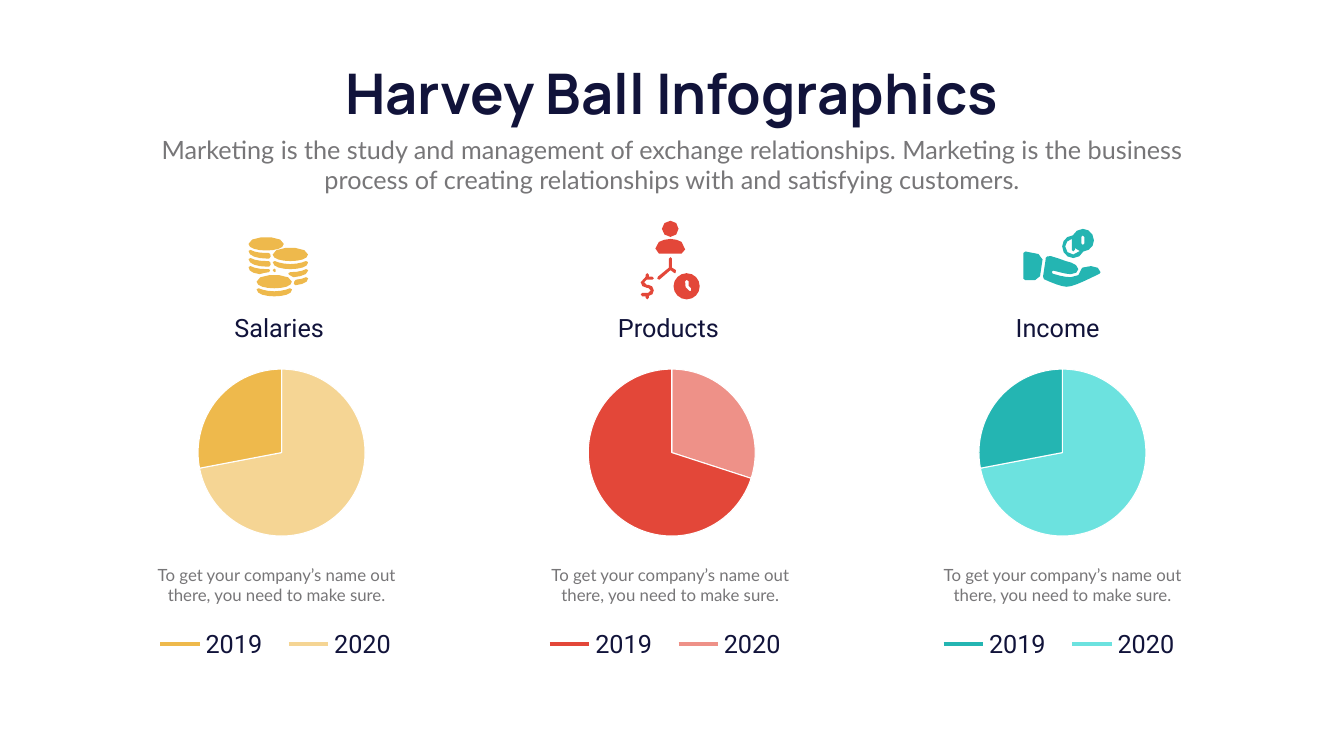
from dataclasses import dataclass
from math import dist

from lxml.etree import SubElement
from pptx import Presentation
from pptx.chart.data import CategoryChartData
from pptx.dml.color import RGBColor
from pptx.enum.chart import XL_CHART_TYPE
from pptx.enum.shapes import MSO_CONNECTOR
from pptx.enum.text import MSO_AUTO_SIZE, PP_ALIGN
from pptx.oxml import parse_xml
from pptx.oxml.ns import nsdecls, qn
from pptx.util import Emu, Pt

PX = 9144  # 100 px to the inch
STEP_LENGTH, MAX_STEPS, MIN_GAP = 12, 5, 3  # how curves are cut into lines


@dataclass(frozen=True)
class Theme:
    ink: str = "11133A"
    grey: str = "777678"
    white: str = "FFFFFF"
    title_font: str = "Manrope"
    body_font: str = "Lato"
    label_font: str = "Roboto"
    chart_font: str = "Calibri"
    title: int = 80
    label: int = 36
    body: int = 24
    chart: int = 10
    legend_line: int = 6
    slice_line: float = 1.5


T = Theme()
TITLE = "Harvey Ball Infographics"
SUBTITLE = ("Marketing is the study and management of exchange relationships. "
            "Marketing is the business process of creating relationships with "
            "and satisfying customers.")
BODY = "To get your company’s name out there, you need to make sure."

# Icon outlines: M move, L line, C curve, Z close, in px from the part's corner
COIN_TOP = "M 0 14 C 0 23 18 27 35 27 C 53 27 70 23 70 14 C 70 -4 0 -4 0 14 Z"
COIN_RIM = ("M 70 3 L 66 1 C 59 4 48 7 35 7 C 22 7 11 4 4 1 L 0 3 "
            "C 0 13 18 17 35 17 C 53 17 70 13 70 4 Z")
LEFT_RIM = ("M 35 17 L 41 17 L 44 13 L 43 8 L 40 6 L 35 6 C 22 6 11 4 4 0 L 0 2 "
            "C 0 12 18 17 35 17 Z")
LEFT_BASE = ("M 22 16 C 28 14 34 13 41 12 L 43 8 L 40 6 L 35 6 C 22 6 11 4 4 0 L 0 2 "
             "C 0 10 8 14 22 16 Z")
RIGHT_RIM = ("M 39 3 L 35 1 C 28 5 17 7 4 7 L 0 9 L 1 12 L 10 17 "
             "C 24 16 39 12 39 4 Z")
RIGHT_BASE = "M 28 2 L 24 0 C 19 3 12 4 4 5 L 1 8 L 0 13 L 3 16 C 19 14 28 10 28 3 Z"
RIM_END = "M 3 7 L 6 6 L 6 2 L 3 0 L 0 3 Z"
HEAD = ("M 33 16 C 33 25 26 32 17 32 C 8 32 0 25 0 16 C 0 7 8 0 17 0 "
        "C 26 0 33 7 33 16 Z")
SHOULDERS = ("M 52 30 C 56 30 59 27 59 22 L 59 20 C 59 15 56 10 52 7 C 47 4 39 1 30 1 "
             "C 21 1 13 4 7 7 C 3 10 0 15 0 20 L 0 22 C 0 27 4 30 7 30 Z")
FORK = ("M 37 33 L 39 31 L 38 27 L 30 22 L 30 4 L 27 1 L 24 4 L 24 22 L 2 40 "
        "L 1 44 L 5 46 L 27 27 L 35 33 Z")
DOLLAR = ("M 12 13 L 23 13 L 26 10 L 23 7 L 16 7 L 16 3 L 13 0 L 10 3 L 10 7 "
          "C 4 8 0 12 0 18 C 0 24 5 29 12 29 L 15 29 C 18 29 20 32 20 34 "
          "C 20 37 18 39 15 39 L 3 39 L 0 42 L 3 46 L 10 46 L 10 49 L 13 52 L 16 49 "
          "L 16 45 C 22 45 26 40 26 34 C 26 28 21 23 15 23 L 12 23 C 9 23 7 21 7 18 "
          "C 7 15 9 13 12 13 Z")
CLOCK = ("M 26 0 C 12 0 0 12 0 26 C 0 40 12 52 26 52 C 41 52 52 40 52 26 "
         "C 52 12 41 0 26 0 Z M 35 35 L 31 35 L 24 28 L 23 26 L 23 16 L 26 13 L 30 16 "
         "L 30 25 L 35 30 Z")
COIN_PAIR = ("M 22 58 C 31 58 38 53 42 45 C 54 44 63 35 63 23 C 63 10 53 0 41 0 "
             "C 32 0 25 6 21 13 C 9 14 0 23 0 35 C 0 48 10 58 22 58 Z "
             "M 38 16 L 41 13 L 44 16 L 44 29 L 41 32 L 38 29 Z "
             "M 19 20 L 19 42 L 22 45 L 25 42 L 25 38 C 28 41 31 43 35 44 "
             "C 32 48 27 51 22 51 C 13 51 6 44 6 35 C 6 28 12 21 19 20 Z")
CUFF = ("M 30 5 L 4 0 L 0 3 L 0 54 L 4 57 L 23 57 C 28 57 32 54 33 49 L 38 16 "
        "C 38 11 35 6 30 5 Z")
HAND = ("M 95 20 C 91 20 84 21 78 23 L 76 26 C 76 31 74 35 70 38 "
        "C 66 41 61 42 55 42 C 46 42 35 40 19 35 L 17 31 L 21 29 "
        "C 36 33 47 36 55 36 C 62 36 65 34 66 33 C 68 31 70 29 70 26 L 69 24 "
        "C 68 16 57 13 45 10 C 39 9 35 7 31 5 C 26 3 22 0 15 0 L 8 1 L 5 4 L 5 8 "
        "L 0 41 L 2 46 C 17 53 37 61 47 61 C 60 61 85 48 102 40 L 112 35 L 114 32 "
        "C 114 25 106 20 95 20 Z")

COINS = [(541, 491, COIN_TOP), (541, 517, COIN_RIM), (509, 545, COIN_TOP),
         (509, 571, COIN_RIM), (493, 470, COIN_TOP), (493, 496, LEFT_RIM),
         (493, 512, LEFT_RIM), (583, 550, RIGHT_BASE), (541, 533, RIM_END),
         (572, 533, RIGHT_RIM), (493, 528, LEFT_BASE)]
PERSON = [(1313, 438, HEAD), (1300, 473, SHOULDERS), (1303, 509, FORK),
          (1271, 542, DOLLAR), (1336, 542, CLOCK)]
INCOME_HAND = [(2107, 454, COIN_PAIR), (2030, 499, CUFF), (2069, 508, HAND)]

# label, (2019, 2020) colours, (2020, 2019) shares, icon, x of label, pie, body, legend
COLUMNS = [
    ("Salaries", ("EEB94C", "F5D594"), (72, 28), COINS, (391, 289, 269, 318)),
    ("Products", ("E34739", "EE9188"), (30, 70), PERSON, (1163, 1063, 1050, 1091)),
    ("Income", ("24B5B2", "6CE2DF"), (72, 28), INCOME_HAND, (1935, 1838, 1828, 1872)),
]
YEARS = ("2019", "2020")
LEGEND_STEP, LEGEND_LENGTH = 255, 78


def px(*values):
    return [Emu(round(v * PX)) for v in values]


def rgb(value):
    return RGBColor.from_string(value)


def add_text(slide, box, text, *, size, font, color=T.ink, bold=False,
             align=PP_ALIGN.CENTER, wrap=True):
    tf = slide.shapes.add_textbox(*px(*box)).text_frame
    tf.word_wrap = wrap
    tf.auto_size = MSO_AUTO_SIZE.SHAPE_TO_FIT_TEXT
    p = tf.paragraphs[0]
    p.alignment = align
    r = p.add_run()
    r.text = text
    r.font.size, r.font.name, r.font.bold = Pt(size), font, bold
    r.font.color.rgb = rgb(color)


def cut_curve(a, b, c, d):
    steps = min(MAX_STEPS, max(1, round((dist(a, b) + dist(b, c) + dist(c, d)) / STEP_LENGTH)))
    for t in (step / steps for step in range(1, steps + 1)):
        weights = ((1 - t) ** 3, 3 * t * (1 - t) ** 2, 3 * t * t * (1 - t), t ** 3)
        yield tuple(sum(w * v for w, v in zip(weights, axis)) for axis in zip(a, b, c, d))


def contours(outline):
    """Turn an outline into lists of points, with curves cut into short lines."""
    tokens = iter(outline.split())
    found = []
    for command in tokens:
        if command == "Z":
            continue
        count = 3 if command == "C" else 1
        points = [(int(next(tokens)), int(next(tokens))) for _ in range(count)]
        if command == "M":
            found.append(points)
            continue
        if command == "C":
            points = cut_curve(found[-1][-1], *points)
        found[-1] += [pt for pt in points if dist(pt, found[-1][-1]) >= MIN_GAP]
    return found


def add_icon(slide, parts, color):
    for left, top, outline in parts:
        loops = [[px(left + x, top + y) for x, y in loop] for loop in contours(outline)]
        builder = slide.shapes.build_freeform(*loops[0][0], scale=1.0)
        for i, loop in enumerate(loops):
            if i:
                builder.move_to(*loop[0])
            builder.add_line_segments(loop[1:], close=True)
        sp = builder.convert_to_shape()
        sp.shadow.inherit = False
        sp.fill.solid()
        sp.fill.fore_color.rgb = rgb(color)
        sp.line.fill.background()


def add_pie(slide, box, shares, colors):
    data = CategoryChartData()
    data.categories = ["1", "2"]
    data.add_series("Series 1", shares)
    chart = slide.shapes.add_chart(XL_CHART_TYPE.PIE, *px(*box), data).chart
    chart.has_legend = chart.has_title = False
    chart.font.size, chart.font.name = Pt(T.chart), T.chart_font
    chart.font.color.rgb = rgb(T.grey)
    plot = chart.plots[0]
    plot.vary_by_categories = True
    for i, color in enumerate(colors):
        fmt = plot.series[0].points[i].format
        fmt.fill.solid()
        fmt.fill.fore_color.rgb = rgb(color)
        fmt.line.color.rgb = rgb(T.white)
        fmt.line.width = Pt(T.slice_line)
    area = chart._chartSpace.chart.plotArea
    for old in area.findall(qn("c:layout")):
        area.remove(old)
    area.insert(0, parse_xml(
        f'<c:layout {nsdecls("c")}><c:manualLayout><c:layoutTarget val="inner"/>'
        '<c:xMode val="edge"/><c:yMode val="edge"/><c:x val="0.19"/><c:y val="0.04"/>'
        '<c:w val="0.62"/><c:h val="0.92"/></c:manualLayout></c:layout>'))


def add_legend(slide, left, colors):
    for i, (year, color) in enumerate(zip(YEARS, colors)):
        x = left + i * LEGEND_STEP
        line = slide.shapes.add_connector(MSO_CONNECTOR.STRAIGHT,
                                          *px(x, 1278, x + LEGEND_LENGTH, 1278))
        line.line.color.rgb = rgb(color)
        line.line.width = Pt(T.legend_line)
        SubElement(line._element.spPr, qn("a:effectLst"))
        add_text(slide, (x + 80, 1242, 135, 71), year, size=T.label,
                 font=T.label_font, align=PP_ALIGN.LEFT)


def main():
    prs = Presentation()
    prs.slide_width, prs.slide_height = px(2666, 1500)
    slide = prs.slides.add_slide(prs.slide_layouts[6])
    add_text(slide, (614, 112, 1437, 145), TITLE, size=T.title, font=T.title_font,
             bold=True, wrap=False)
    add_text(slide, (292, 261, 2082, 131), SUBTITLE, size=T.label, font=T.body_font,
             color=T.grey)
    for label, colors, shares, icon, (label_x, pie_x, body_x, legend_x) in COLUMNS:
        add_pie(slide, (pie_x, 718, 539, 360), shares, colors[::-1])
        add_icon(slide, icon, colors[0])
        add_text(slide, (label_x, 615, 326, 71), label, size=T.label, font=T.label_font)
        add_text(slide, (body_x, 1116, 559, 91), BODY, size=T.body, font=T.body_font,
                 color=T.grey)
        add_legend(slide, legend_x, colors)
    prs.save("out.pptx")


if __name__ == "__main__":
    main()
